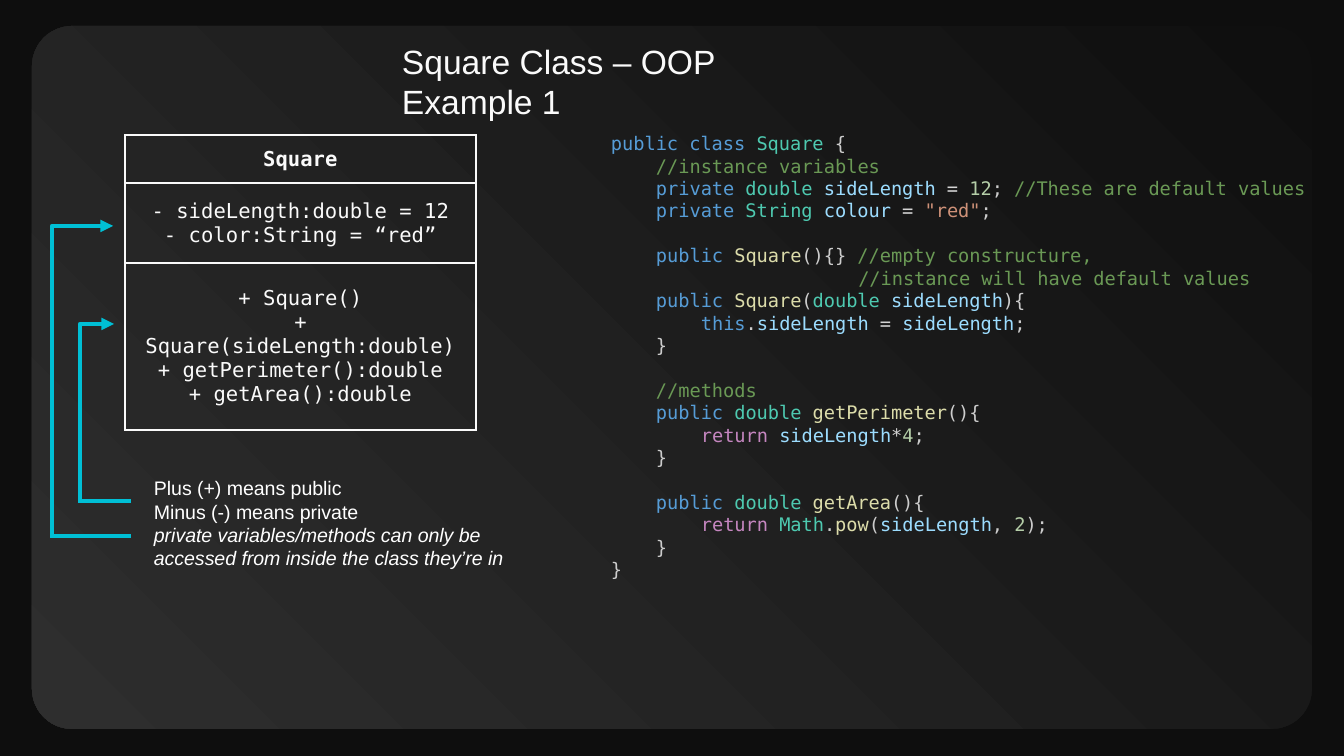
from collections import namedtuple
from dataclasses import dataclass

from lxml.etree import SubElement
from pptx import Presentation
from pptx.dml.color import RGBColor
from pptx.enum.shapes import MSO_CONNECTOR, MSO_SHAPE
from pptx.enum.text import MSO_ANCHOR, PP_ALIGN
from pptx.oxml.ns import qn
from pptx.util import Emu, Pt

Box = namedtuple("Box", "left top width height")


@dataclass(frozen=True)
class Theme:
    back: str = "0E0E0E"
    panel_start: str = "0F0F0F"
    panel_end: str = "2E2E2E"
    text: str = "FAFAFA"
    legend: str = "FFFFFF"
    arrow: str = "00BFD5"
    sans: str = "Arial"
    mono: str = "DejaVu Sans Mono"
    title_size: float = 18
    diagram_size: float = 11
    legend_size: float = 10.5
    code_size: float = 10
    code_gap: float = 12
    border_width: float = 1
    arrow_width: float = 2.25


THEME = Theme()
SYNTAX = {
    "keyword": "569CD6", "type": "4EC9B0", "plain": "CCCCCC",
    "comment": "6A9955", "name": "9CDCFE", "operator": "D4D4D4",
    "number": "B5CEA8", "string": "CE9178", "method": "DCDCAA",
    "flow": "C586C0",
}
COLUMN = 11.24
PUBLIC = ("keyword", "public ")
PRIVATE = ("keyword", "private ")
DOUBLE = ("type", "double ")
RETURN = ("flow", "return ")
SIDE = ("name", "sideLength")
EQUALS = ("operator", " = ")
END = ("plain", ";")
OPEN = ("plain", "(){")
CLOSE = ("plain", "}")

CODE = [
    (0, 0, [("keyword", "public class "), ("type", "Square"), ("plain", " {")]),
    (4, 0, [("comment", "//instance variables")]),
    (4, 0, [PRIVATE, DOUBLE, SIDE, EQUALS, ("number", "12"), ("plain", "; "),
            ("comment", "//These are default values")]),
    (4, 0, [PRIVATE, ("type", "String "), ("name", "colour"), EQUALS,
            ("string", '"red"'), END]),
    (4, 1, [PUBLIC, ("method", "Square"), ("plain", "(){} "),
            ("comment", "//empty constructure,")]),
    (22, 0, [("comment", "//instance will have default values")]),
    (4, 0, [PUBLIC, ("method", "Square"), ("plain", "("), DOUBLE, SIDE,
            ("plain", "){")]),
    (8, 0, [("keyword", "this"), ("plain", "."), SIDE, EQUALS, SIDE, END]),
    (4, 0, [CLOSE]),
    (4, 1, [("comment", "//methods")]),
    (4, 0, [PUBLIC, DOUBLE, ("method", "getPerimeter"), OPEN]),
    (8, 0, [RETURN, SIDE, ("operator", "*"), ("number", "4"), END]),
    (4, 0, [CLOSE]),
    (4, 1, [PUBLIC, DOUBLE, ("method", "getArea"), OPEN]),
    (8, 0, [RETURN, ("type", "Math"), ("plain", "."), ("method", "pow"),
            ("plain", "("), SIDE, ("plain", ", "), ("number", "2"),
            ("plain", ");")]),
    (4, 0, [CLOSE]),
    (0, 0, [CLOSE]),
]
DIAGRAM = [
    (48, ["Square"]),
    (80, ["- sideLength:double = 12", "- color:String = “red”"]),
    (167, ["+ Square()", "+ Square(sideLength:double)",
           "+ getPerimeter():double", "+ getArea():double"]),
]
LEGEND = [
    ("Plus (+) means public", False),
    ("Minus (-) means private", False),
    ("private variables/methods can only be \v"
     "accessed from inside the class they’re in", True),
]


def px(length):
    return Emu(round(length * 9144000 / 1344))


def rgb(value):
    return RGBColor.from_string(value)


def apply(target, values):
    for name, value in values.items():
        setattr(target, name, value)


def style(span, color, **values):
    apply(span.font, values)
    span.font.color.rgb = rgb(color)


def paragraphs(frame, items):
    for index, item in enumerate(items):
        yield (frame.add_paragraph() if index else frame.paragraphs[0]), item


def indent(para, length):
    para._p.get_or_add_pPr().set("marL", str(px(length)))
    para._p.get_or_add_pPr().set("indent", "0")


def add_text_frame(page, box, inset_y):
    frame = page.shapes.add_textbox(*map(px, box)).text_frame
    apply(frame, {
        "word_wrap": True, "margin_left": px(13), "margin_right": px(13),
        "margin_top": px(inset_y), "margin_bottom": px(inset_y),
    })
    return frame


def add_panel(page, box):
    panel = page.shapes.add_shape(MSO_SHAPE.ROUNDED_RECTANGLE, *map(px, box))
    panel.adjustments[0] = 0.057
    panel.shadow.inherit = False
    panel.line.fill.background()
    panel.fill.gradient()
    panel.fill.gradient_angle = 225
    for stop, color in zip(panel.fill.gradient_stops,
                           (THEME.panel_start, THEME.panel_end)):
        stop.color.rgb = rgb(color)


def add_title(page, box):
    para = add_text_frame(page, box, 13).paragraphs[0]
    para.text = "Square Class – OOP Example 1"
    style(para.runs[0], THEME.text, name=THEME.sans, size=Pt(THEME.title_size))


def add_borders(cell):
    properties = cell._tc.get_or_add_tcPr()
    for side in ("a:lnL", "a:lnR", "a:lnT", "a:lnB"):
        line = SubElement(properties, qn(side), w=str(Pt(THEME.border_width)))
        fill = SubElement(line, qn("a:solidFill"))
        SubElement(fill, qn("a:srgbClr"), val=THEME.text)


def add_diagram(page, box):
    table = page.shapes.add_table(len(DIAGRAM), 1, *map(px, box)).table
    apply(table, {"first_row": False, "horz_banding": False})
    for index, (height, lines) in enumerate(DIAGRAM):
        table.rows[index].height = px(height)
        cell = table.cell(index, 0)
        add_borders(cell)
        cell.fill.background()
        apply(cell, {
            "vertical_anchor": MSO_ANCHOR.MIDDLE,
            "margin_left": px(15), "margin_right": px(15),
            "margin_top": px(8), "margin_bottom": px(8),
        })
        for para, line in paragraphs(cell.text_frame, lines):
            para.text = line
            para.alignment = PP_ALIGN.CENTER
            style(para.runs[0], THEME.text, name=THEME.mono,
                  size=Pt(THEME.diagram_size), bold=index == 0)


def add_line(page, kind, start, end):
    line = page.shapes.add_connector(kind, *map(px, (*start, *end)))
    line.line.color.rgb = rgb(THEME.arrow)
    line.line.width = Pt(THEME.arrow_width)
    SubElement(line._element.spPr, qn("a:effectLst"))
    return line


def add_pointer(page, box, foot):
    bottom = box.top + box.height
    arrow = add_line(page, MSO_CONNECTOR.ELBOW, (box.left, bottom),
                     (box.left + box.width, box.top))
    guides = arrow._element.spPr.find(qn("a:prstGeom")).get_or_add_avLst()
    SubElement(guides, qn("a:gd"), name="adj1", fmla="val 0")
    SubElement(arrow.line._get_or_add_ln(), qn("a:tailEnd"), type="triangle")
    add_line(page, MSO_CONNECTOR.STRAIGHT, (box.left, bottom - 2),
             (box.left + foot, bottom - 2))


def add_legend(page, box):
    frame = add_text_frame(page, box, 7)
    for para, (text, italic) in paragraphs(frame, LEGEND):
        para.text = text
        indent(para, 16)
        for span in para.runs:
            style(span, THEME.legend, name=THEME.sans,
                  size=Pt(THEME.legend_size), italic=italic)


def add_code(page, box):
    frame = add_text_frame(page, box, 7)
    for para, (columns, gap, spans) in paragraphs(frame, CODE):
        indent(para, columns * COLUMN)
        para.space_before = Pt(gap * THEME.code_gap)
        for kind, text in spans:
            span = para.add_run()
            span.text = text
            style(span, SYNTAX[kind], name=THEME.mono, size=Pt(THEME.code_size))


def main():
    deck = Presentation()
    apply(deck, {"slide_width": px(1344), "slide_height": px(756)})
    page = deck.slides.add_slide(deck.slide_layouts[6])
    page.background.fill.solid()
    page.background.fill.fore_color.rgb = rgb(THEME.back)
    add_panel(page, Box(32, 26, 1280, 703))
    add_title(page, Box(389, 28, 470, 85))
    add_diagram(page, Box(125, 135, 351, 295))
    add_pointer(page, Box(80, 324, 34, 179), 51)
    add_legend(page, Box(125, 469, 530, 109))
    add_pointer(page, Box(52, 226, 61, 312), 79)
    add_code(page, Box(598, 125, 796, 466))
    deck.save("out.pptx")


if __name__ == "__main__":
    main()
